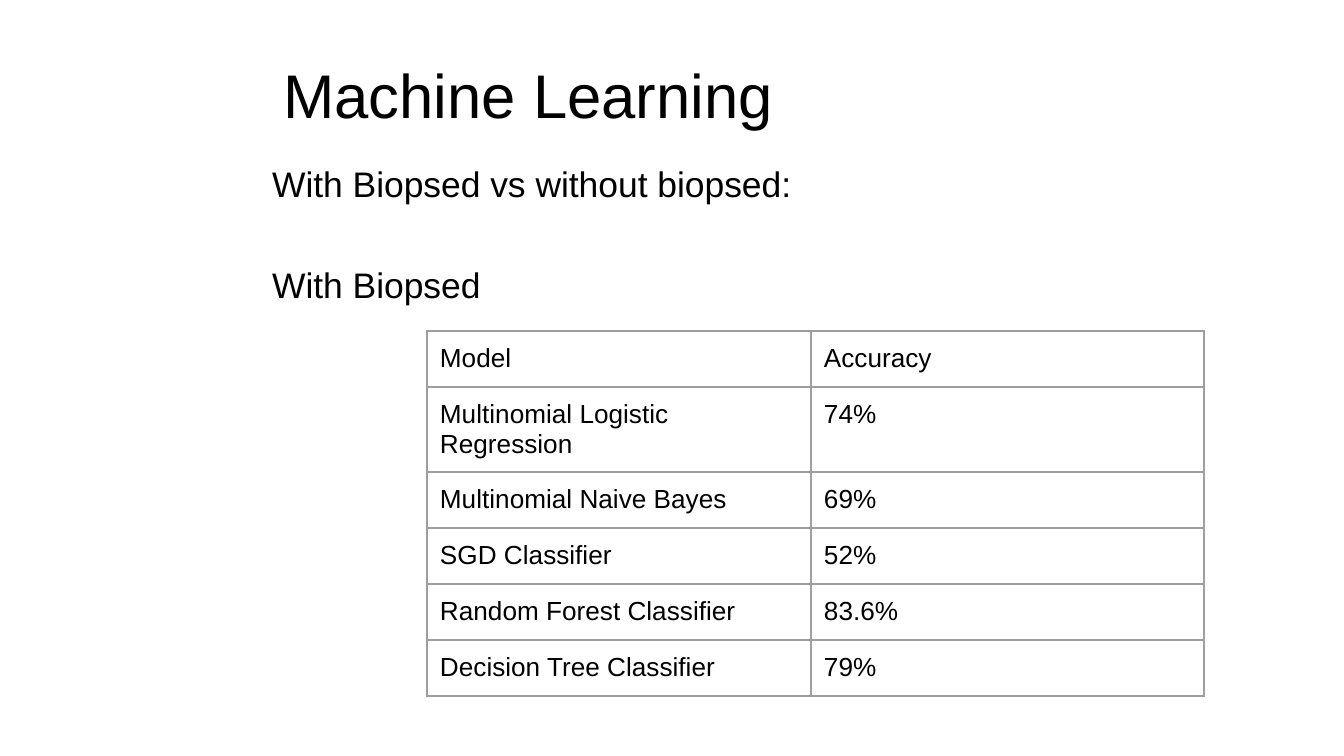
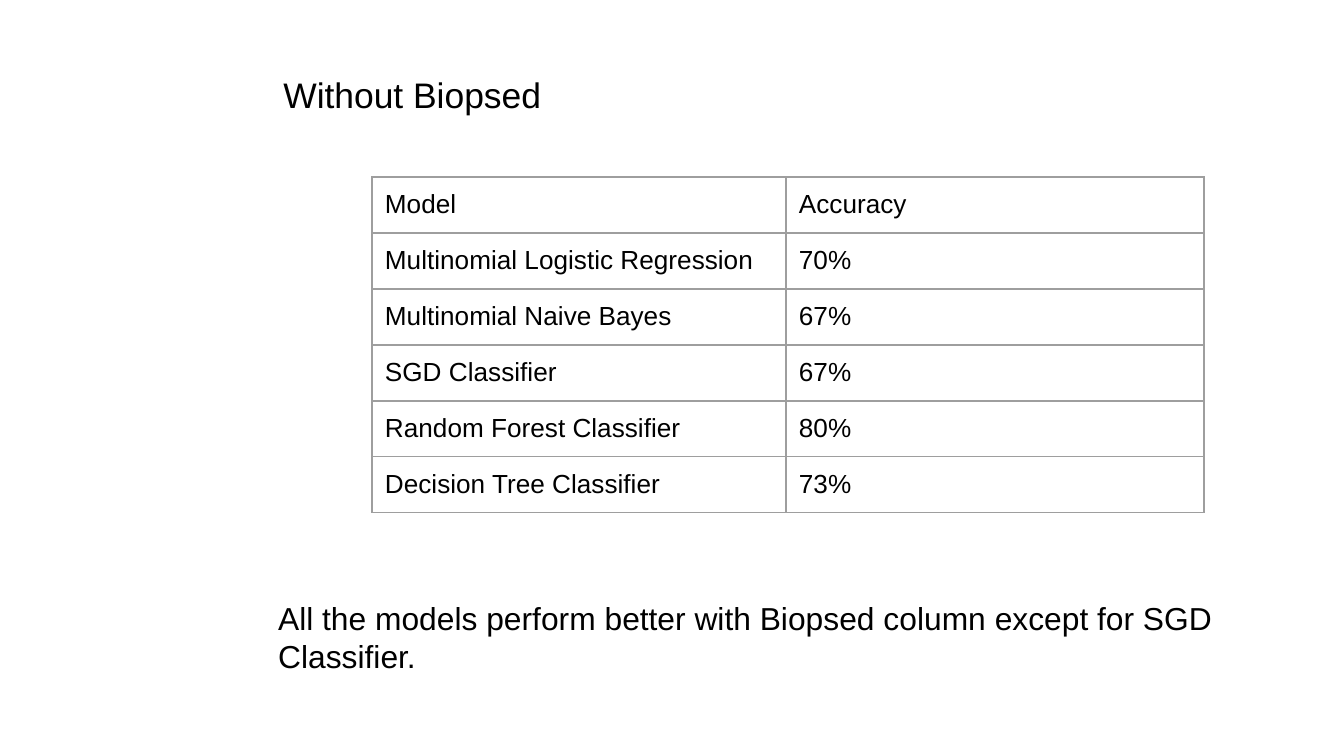
"""Build two slides comparing model accuracy with and without the Biopsed column."""
from lxml import etree
from pptx import Presentation
from pptx.dml.color import RGBColor
from pptx.enum.text import MSO_ANCHOR, MSO_AUTO_SIZE, PP_ALIGN
from pptx.oxml.ns import qn
from pptx.util import Pt

TOP, MIDDLE, BOTTOM = MSO_ANCHOR.TOP, MSO_ANCHOR.MIDDLE, MSO_ANCHOR.BOTTOM
LEFT = PP_ALIGN.LEFT
NO_AUTO_SIZE = MSO_AUTO_SIZE.NONE

EMU_PER_PX = 914400 / 134.4
SLIDE_SIZE = (1344, 756)
TITLE_BOX = (270, 31, 1007, 126)
TITLE_ONLY = 5
FONT = "Arial"
BLACK, WHITE, GRAY = "000000", "FFFFFF", "9E9E9E"
BORDER_SIDES = ("a:lnL", "a:lnR", "a:lnT", "a:lnB")
CELL_INSET = 13
CELL_SIZE = 14

HEADER = ("Model", "Accuracy")
MODELS = (
    "Multinomial Logistic Regression",
    "Multinomial Naive Bayes",
    "SGD Classifier",
    "Random Forest Classifier",
    "Decision Tree Classifier",
)
SLIDES = [
    {
        "title": "Machine Learning",
        "title_size": 33,
        "body": ["With Biopsed vs without biopsed:", "With Biopsed"],
        "body_box": (259, 156, 1017, 554),
        "body_size": 19,
        "body_anchor": TOP,
        "space_before": [2, 31],
        "accuracy": ["74%", "69%", "52%", "83.6%", "79%"],
        "table_at": (427, 331),
        "columns": [384, 393],
        "rows": [56, 85, 56, 56, 56, 56],
    },
    {
        "title": "Without Biopsed",
        "title_size": 19,
        "body": ["All the models perform better with Biopsed column except for SGD Classifier."],
        "body_box": (265, 188, 1017, 487),
        "body_size": 17,
        "body_anchor": BOTTOM,
        "space_before": [0],
        "accuracy": ["70%", "67%", "67%", "80%", "73%"],
        "table_at": (372, 177),
        "columns": [414, 418],
        "rows": [56] * 6,
    },
]


def px(length):
    return round(length * EMU_PER_PX)


def color(value):
    return RGBColor.from_string(value)


def style_paragraph(paragraph, size):
    paragraph.alignment = LEFT
    paragraph.font.name = FONT
    paragraph.font.size = Pt(size)
    paragraph.font.color.rgb = color(BLACK)


def prepare_frame(frame, anchor):
    frame.word_wrap = True
    frame.auto_size = NO_AUTO_SIZE
    frame.vertical_anchor = anchor


def add_title(slide, text, size):
    title = slide.shapes.title
    title.left, title.top, title.width, title.height = map(px, TITLE_BOX)
    title.text_frame.text = text
    prepare_frame(title.text_frame, MIDDLE)
    style_paragraph(title.text_frame.paragraphs[0], size)


def add_body(slide, content):
    frame = slide.shapes.add_textbox(*map(px, content["body_box"])).text_frame
    frame.text = "\n".join(content["body"])
    prepare_frame(frame, content["body_anchor"])
    if content["body_anchor"] == BOTTOM:
        frame.margin_bottom = 0
    for paragraph, space in zip(frame.paragraphs, content["space_before"]):
        style_paragraph(paragraph, content["body_size"])
        paragraph.space_before = Pt(space)


def add_borders(cell):
    properties = cell._tc.get_or_add_tcPr()
    for side in BORDER_SIDES:
        line = etree.SubElement(properties, qn(side), w=str(Pt(0.75)))
        fill = etree.SubElement(line, qn("a:solidFill"))
        etree.SubElement(fill, qn("a:srgbClr"), val=GRAY)


def format_cell(cell, text):
    cell.text = text
    cell.margin_left = cell.margin_right = px(CELL_INSET)
    cell.margin_top = cell.margin_bottom = px(CELL_INSET)
    add_borders(cell)
    cell.fill.background()
    style_paragraph(cell.text_frame.paragraphs[0], CELL_SIZE)


def add_accuracy_table(slide, content):
    records = [HEADER, *zip(MODELS, content["accuracy"])]
    columns, rows = content["columns"], content["rows"]
    box = (*content["table_at"], sum(columns), sum(rows))
    table = slide.shapes.add_table(len(rows), len(columns), *map(px, box)).table
    table.first_row = table.horz_banding = False
    for column, width in zip(table.columns, columns):
        column.width = px(width)
    for row, height, record in zip(table.rows, rows, records):
        row.height = px(height)
        for cell, text in zip(row.cells, record):
            format_cell(cell, text)


def main():
    presentation = Presentation()
    presentation.slide_width, presentation.slide_height = map(px, SLIDE_SIZE)
    for content in SLIDES:
        slide = presentation.slides.add_slide(presentation.slide_layouts[TITLE_ONLY])
        slide.background.fill.solid()
        slide.background.fill.fore_color.rgb = color(WHITE)
        add_title(slide, content["title"], content["title_size"])
        add_body(slide, content)
        add_accuracy_table(slide, content)
    presentation.save("out.pptx")


if __name__ == "__main__":
    main()
